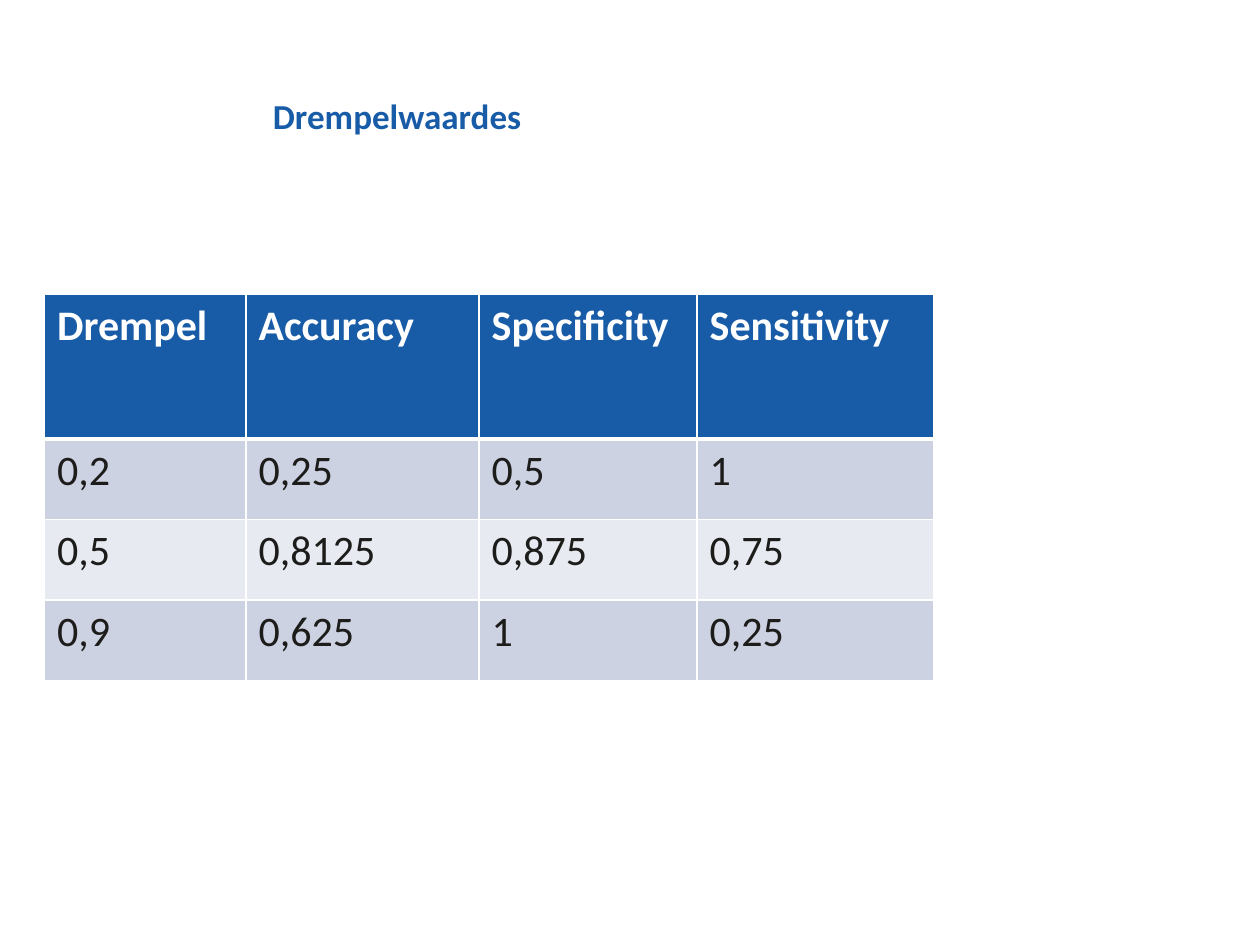
from lxml import etree
from pptx import Presentation
from pptx.dml.color import RGBColor
from pptx.enum.text import MSO_ANCHOR
from pptx.oxml.ns import qn
from pptx.util import Pt

MIDDLE = MSO_ANCHOR.MIDDLE
FONT = "Calibri"
BLUE = RGBColor(0x18, 0x5B, 0xA7)
WHITE = RGBColor(0xFF, 0xFF, 0xFF)
INK = RGBColor(0x1C, 0x1C, 0x1A)
BAND_DARK = RGBColor(0xCC, 0xD2, 0xE1)
BAND_LIGHT = RGBColor(0xE8, 0xEA, 0xF1)

ROWS = [
    ("Drempel", "Accuracy", "Specificity", "Sensitivity"),
    ("0,2", "0,25", "0,5", "1"),
    ("0,5", "0,8125", "0,875", "0,75"),
    ("0,9", "0,625", "1", "0,25"),
]
COLUMN_WIDTHS = (115.2, 133.2, 124.6, 135.4)
HEADER_HEIGHT = 82.8


def add_span(para, text, size, color, bold):
    span = para.add_run()
    span.text = text
    font = span.font
    font.name, font.size, font.bold = FONT, Pt(size), bold
    font.color.rgb = color


def set_borders(cell, widths):
    """Draw white cell borders; widths maps each edge tag to points."""
    properties = cell._tc.get_or_add_tcPr()
    for index, (edge, width) in enumerate(widths.items()):
        line = etree.Element(qn(f"a:{edge}"), w=str(Pt(width)))
        fill = etree.SubElement(line, qn("a:solidFill"))
        etree.SubElement(fill, qn("a:srgbClr"), val=str(WHITE))
        properties.insert(index, line)


def add_title(page, left, top, width, height):
    box = page.shapes.add_textbox(Pt(left), Pt(top), Pt(width), Pt(height))
    frame = box.text_frame
    frame.word_wrap = True
    frame.vertical_anchor = MIDDLE
    frame.margin_left = frame.margin_right = 0
    frame.margin_top = frame.margin_bottom = 0
    para = frame.paragraphs[0]
    para.line_spacing = 0.9
    add_span(para, "Drempelwaardes", 20, BLUE, True)


def add_threshold_table(page, left, top, width, height):
    table = page.shapes.add_table(
        len(ROWS), len(COLUMN_WIDTHS), Pt(left), Pt(top), Pt(width), Pt(height)
    ).table
    for column, column_width in zip(table.columns, COLUMN_WIDTHS):
        column.width = Pt(column_width)

    body_height = (height - HEADER_HEIGHT) / (len(ROWS) - 1)
    for row, texts in enumerate(ROWS):
        header = row == 0
        table.rows[row].height = Pt(HEADER_HEIGHT if header else body_height)
        band = BAND_DARK if row % 2 else BAND_LIGHT
        # The rule below the header is thicker than the grid
        borders = {"lnL": 1, "lnR": 1,
                   "lnT": 3 if row == 1 else 1, "lnB": 3 if header else 1}
        for column, text in enumerate(texts):
            cell = table.cell(row, column)
            cell.fill.solid()
            cell.fill.fore_color.rgb = BLUE if header else band
            set_borders(cell, borders)
            add_span(cell.text_frame.paragraphs[0], text, 24,
                     WHITE if header else INK, header)


def main():
    deck = Presentation()
    deck.slide_width, deck.slide_height = Pt(720), Pt(540)
    page = deck.slides.add_slide(deck.slide_layouts[6])
    add_title(page, 156, 54, 507, 27)
    add_threshold_table(page, 25.4, 168, sum(COLUMN_WIDTHS), 221)
    deck.save("out.pptx")


if __name__ == "__main__":
    main()
